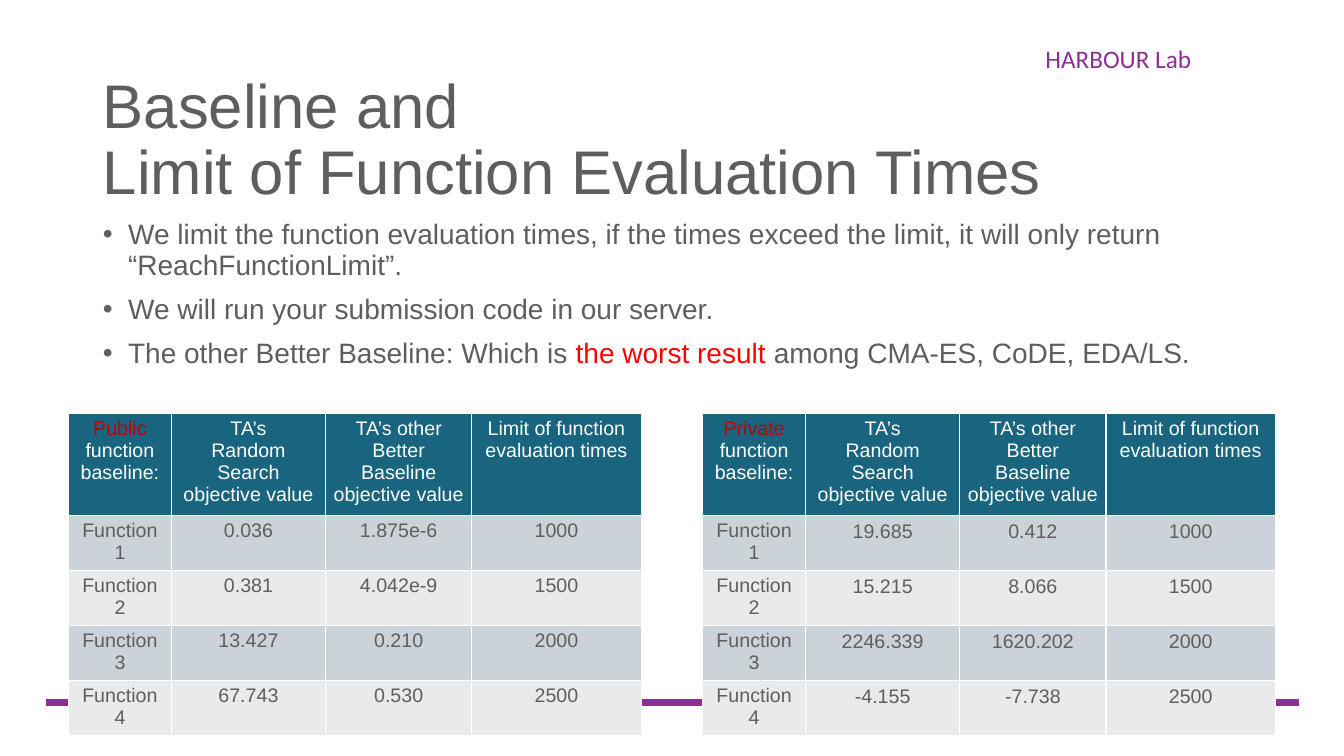
from lxml import etree
from pptx import Presentation
from pptx import util as u
from pptx.dml.color import RGBColor
from pptx.enum import shapes, text
from pptx.oxml import ns

COLORS = {
    "purple": "8F2E93",
    "ink": "605D5F",
    "red": "FF0000",
    "dark_red": "C00000",
    "white": "FFFFFF",
    "header": "19647E",
    "odd_row": "CCD3D8",
    "even_row": "E8EAEC",
}
COLUMN_WIDTHS = [1.02, 1.53, 1.45, 1.68]
ROW_HEIGHTS = [0.78] + [0.36] * 4
TABLE_HEIGHT = 3.17
TIGHT = (0.07, 0.04)
LOOSE = (0.1, 0.05)
HEADINGS = [
    ["TA’s", "Random Search", "objective value"],
    ["TA’s other Better Baseline objective value"],
    ["Limit of function evaluation times"],
]
LIMITS = ["1000", "1500", "2000", "2500"]
BASELINES = [
    ("Public", 0.68, TIGHT, ["0.036", "0.381", "13.427", "67.743"],
     ["1.875e-6", "4.042e-9", "0.210", "0.530"]),
    ("Private", 6.97, LOOSE, ["19.685", "15.215", "2246.339", "-4.155"],
     ["0.412", "8.066", "1620.202", "-7.738"]),
]
RULES = [
    "We limit the function evaluation times, if the times exceed the limit, "
    "it will only return “ReachFunctionLimit”.",
    "We will run your submission code in our server.",
    [("The other Better Baseline: Which is ", "ink"),
     ("the worst result ", "red"),
     ("among CMA-ES, CoDE, EDA/LS.", "ink")],
]


def rgb(name):
    return RGBColor.from_string(COLORS[name])


def write(frame, paragraphs, size, color="ink", font="Arial",
          align=text.PP_ALIGN.LEFT, spacing=None, before=0, bullet=None):
    for index, content in enumerate(paragraphs):
        paragraph = frame.paragraphs[0] if index == 0 else frame.add_paragraph()
        paragraph.alignment = align
        paragraph.line_spacing = spacing
        paragraph.space_before = u.Pt(before)
        if bullet:
            properties = paragraph._p.get_or_add_pPr()
            properties.set("marL", str(u.Inches(0.25)))
            properties.set("indent", str(-u.Inches(0.25)))
            etree.SubElement(properties, ns.qn("a:buChar"), char=bullet)
        pieces = [(content, color)] if isinstance(content, str) else content
        for words, shade in pieces:
            for number, line in enumerate(words.split("\n")):
                if number:
                    paragraph.add_line_break()
                run = paragraph.add_run()
                run.text = line
                run.font.name = font
                run.font.size = u.Pt(size)
                run.font.bold = False
                run.font.color.rgb = rgb(shade)


class BaselineSlide:
    def __init__(self, deck):
        self.slide = deck.slides.add_slide(deck.slide_layouts[1])

    def place(self, shape, left, top, width, height):
        shape.left, shape.top = u.Inches(left), u.Inches(top)
        shape.width, shape.height = u.Inches(width), u.Inches(height)

    def rule(self, left, right, top):
        rule = self.slide.shapes.add_connector(
            shapes.MSO_CONNECTOR.STRAIGHT,
            u.Inches(left), u.Inches(top), u.Inches(right), u.Inches(top))
        rule.line.color.rgb = rgb("purple")
        rule.line.width = u.Pt(4.5)
        etree.SubElement(rule._element.spPr, ns.qn("a:effectLst"))

    def label(self, words, *box):
        label = self.slide.shapes.add_textbox(*map(u.Inches, box))
        label.text_frame.word_wrap = True
        write(label.text_frame, [words], 18, color="purple", font="Calibri")

    def title(self, words, *box):
        title = self.slide.shapes.title
        self.place(title, *box)
        title.text_frame.vertical_anchor = text.MSO_ANCHOR.MIDDLE
        write(title.text_frame, [words], 44, spacing=0.9)

    def bullets(self, items, *box):
        body = self.slide.placeholders[1]
        self.place(body, *box)
        write(body.text_frame, items, 20, spacing=0.9, before=10, bullet="•")

    def cell(self, cell, paragraphs, fill, color="ink", inset=TIGHT):
        cell.margin_left = cell.margin_right = u.Inches(inset[0])
        cell.margin_top = cell.margin_bottom = u.Inches(inset[1])
        cell.fill.solid()
        cell.fill.fore_color.rgb = rgb(fill)
        write(cell.text_frame, paragraphs, 14, color=color,
              align=text.PP_ALIGN.CENTER)

    def baseline_table(self, kind, left, inset, random_search, better):
        box = (left, 4.1, sum(COLUMN_WIDTHS), TABLE_HEIGHT)
        frame = self.slide.shapes.add_table(
            len(ROW_HEIGHTS), len(COLUMN_WIDTHS), *map(u.Inches, box))
        table = frame.table
        table.horz_banding = False
        for column, width in zip(table.columns, COLUMN_WIDTHS):
            column.width = u.Inches(width)
        for row, height in zip(table.rows, ROW_HEIGHTS):
            row.height = u.Inches(height)
        self.place(frame, *box)

        corner = [(kind, "dark_red"), (" function baseline:", "white")]
        for column, heading in enumerate([[corner]] + HEADINGS):
            self.cell(table.cell(0, column), heading, "header", color="white")
        for row, values in enumerate(zip(random_search, better, LIMITS), 1):
            fill = "odd_row" if row % 2 else "even_row"
            self.cell(table.cell(row, 0), [f"Function {row}"], fill)
            for column, value in enumerate(values, 1):
                self.cell(table.cell(row, column), [value], fill, inset=inset)


def main():
    deck = Presentation()
    deck.slide_width, deck.slide_height = u.Inches(13.33), u.Inches(7.5)
    page = BaselineSlide(deck)
    page.rule(0.46, 12.88, 6.97)
    page.label("HARBOUR Lab", 10.27, 0.38, 2.9, 0.4)
    page.title("Baseline and\nLimit of Function Evaluation Times",
               0.92, 0.68, 11.5, 1.45)
    page.bullets(RULES, 0.92, 2.14, 11.5, 4.76)
    for baseline in BASELINES:
        page.baseline_table(*baseline)
    deck.save("out.pptx")


if __name__ == "__main__":
    main()
